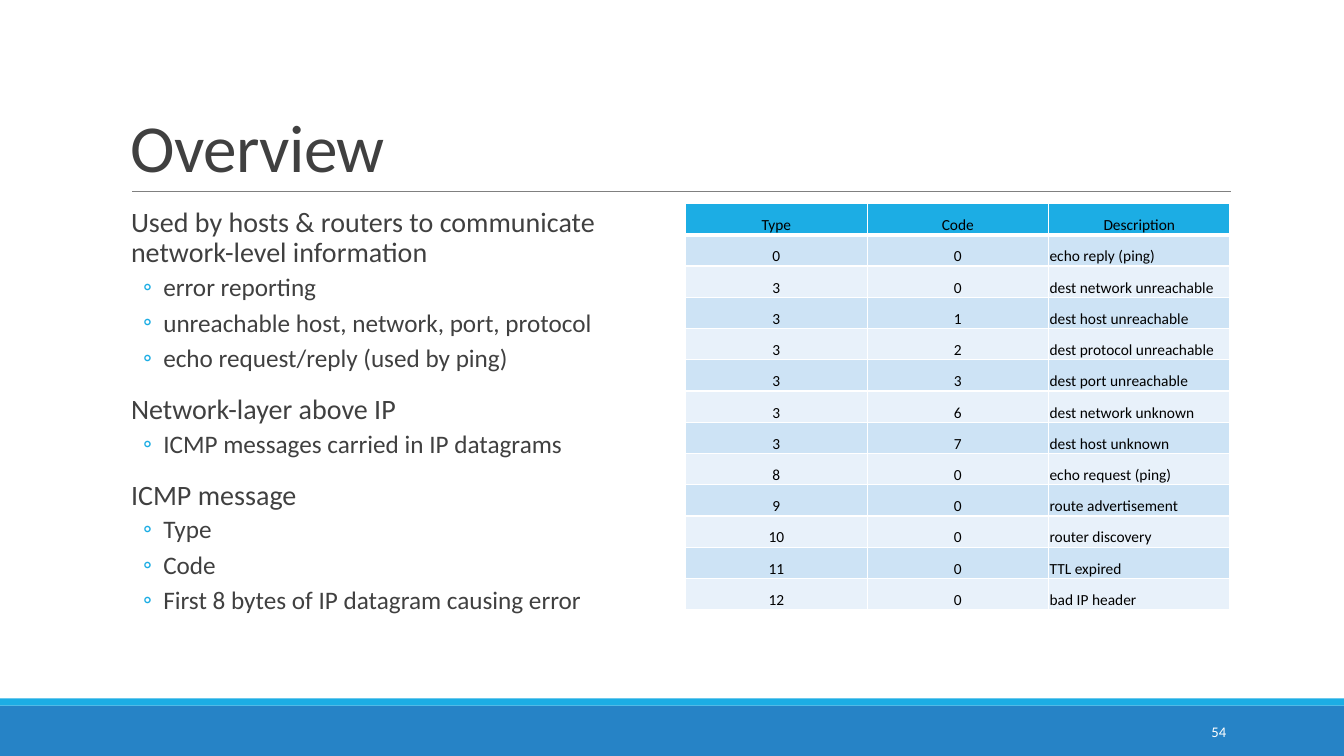
from lxml.etree import SubElement
from pptx import Presentation
from pptx.dml.color import RGBColor
from pptx.enum.shapes import MSO_CONNECTOR, MSO_SHAPE
from pptx.enum.text import MSO_ANCHOR, PP_ALIGN
from pptx.oxml.ns import qn
from pptx.util import Inches, Pt

COLORS = {
    "blue": "2683C6", "cyan": "1CADE4", "gray": "808080", "ink": "404040",
    "black": "000000", "white": "FFFFFF", "band": "CDE3F5", "pale": "E8F1FA",
}
FONT = "Calibri"

# Outline level: text size, indents and paragraph spacing
LEVELS = [
    {"size": 20, "left": 0.1, "hang": 0, "before": 12, "after": 2},
    {"size": 18, "left": 0.42, "hang": -0.2, "before": 2, "after": 4},
]
POINTS = [
    (0, "Used by hosts & routers to communicate network-level information"),
    (1, "error reporting"),
    (1, "unreachable host, network, port, protocol"),
    (1, "echo request/reply (used by ping)"),
    (0, "Network-layer above IP"),
    (1, "ICMP messages carried in IP datagrams"),
    (0, "ICMP message"),
    (1, "Type"),
    (1, "Code"),
    (1, "First 8 bytes of IP datagram causing error"),
]
ROWS = [
    ("Type", "Code", "Description"),
    (0, 0, "echo reply (ping)"),
    (3, 0, "dest network unreachable"),
    (3, 1, "dest host unreachable"),
    (3, 2, "dest protocol unreachable"),
    (3, 3, "dest port unreachable"),
    (3, 6, "dest network unknown"),
    (3, 7, "dest host unknown"),
    (8, 0, "echo request (ping)"),
    (9, 0, "route advertisement"),
    (10, 0, "router discovery"),
    (11, 0, "TTL expired"),
    (12, 0, "bad IP header"),
]


def rgb(name):
    return RGBColor.from_string(COLORS[name])


def style(item, values):
    for name, value in values.items():
        setattr(item, name, value)


def write(para, text, size, color):
    run = para.add_run()
    run.text = text
    style(run.font, {"name": FONT, "size": Pt(size), "bold": False})
    run.font.color.rgb = rgb(color)
    return run


def add_bar(slide, top, height, color):
    bar = slide.shapes.add_shape(
        MSO_SHAPE.RECTANGLE, 0, Inches(top), Inches(13.33), Inches(height))
    bar.shadow.inherit = False
    bar.fill.solid()
    bar.fill.fore_color.rgb = rgb(color)
    bar.line.fill.background()


def add_rule(slide, left, right, top):
    rule = slide.shapes.add_connector(
        MSO_CONNECTOR.STRAIGHT, Inches(left), Inches(top), Inches(right), Inches(top))
    rule.line.color.rgb = rgb("gray")
    rule.line.width = Pt(0.5)
    SubElement(rule.element.spPr, qn("a:effectLst"))


def add_box(slide, left, top, width, height, anchor):
    box = slide.shapes.add_textbox(*map(Inches, (left, top, width, height)))
    style(box.text_frame, {"word_wrap": True, "vertical_anchor": anchor})
    return box.text_frame


def add_title(slide, text):
    para = add_box(slide, 1.2, 0.31, 11, 1.59, MSO_ANCHOR.BOTTOM).paragraphs[0]
    para.line_spacing = 0.85
    run = write(para, text, 48, "ink")
    run.font._element.set("spc", "-50")


def add_bullet(props):
    color = SubElement(props, qn("a:buClr"))
    SubElement(color, qn("a:srgbClr")).set("val", COLORS["cyan"])
    SubElement(props, qn("a:buFont")).set("typeface", FONT)
    SubElement(props, qn("a:buChar")).set("char", "◦")


def add_points(slide, points):
    frame = add_box(slide, 1.2, 2.02, 5.4, 4.4, MSO_ANCHOR.TOP)
    style(frame, {"margin_left": 0, "margin_right": 0})
    for index, (level, text) in enumerate(points):
        para = frame.add_paragraph() if index else frame.paragraphs[0]
        look = LEVELS[level]
        style(para, {
            "level": level, "line_spacing": 0.9,
            "space_before": Pt(look["before"]), "space_after": Pt(look["after"]),
        })
        props = para._p.get_or_add_pPr()
        props.set("marL", str(Inches(look["left"])))
        props.set("indent", str(Inches(look["hang"])))
        if level:
            add_bullet(props)
        write(para, text, look["size"], "ink")


def add_edges(cell, head):
    props = cell._tc.get_or_add_tcPr()
    for side in "LRTB":
        width = 3 if head and side == "B" else 1
        edge = SubElement(props, qn(f"a:ln{side}"), w=str(Pt(width)))
        fill = SubElement(edge, qn("a:solidFill"))
        SubElement(fill, qn("a:srgbClr")).set("val", COLORS["white"])


def add_grid(slide, rows):
    count, width = len(rows), len(rows[0])
    table = slide.shapes.add_table(
        count, width, Inches(6.8), Inches(2.02), Inches(5.4), Inches(4.03)).table
    for y, row in enumerate(rows):
        for x, value in enumerate(row):
            cell = table.cell(y, x)
            style(cell, {
                "vertical_anchor": MSO_ANCHOR.BOTTOM,
                "margin_left": Inches(0.01), "margin_right": Inches(0.01),
                "margin_top": Inches(0.01), "margin_bottom": 0,
            })
            add_edges(cell, y == 0)
            cell.fill.solid()
            shade = "cyan" if y == 0 else ("pale", "band")[y % 2]
            cell.fill.fore_color.rgb = rgb(shade)
            para = cell.text_frame.paragraphs[0]
            center = y == 0 or x < 2
            para.alignment = PP_ALIGN.CENTER if center else PP_ALIGN.LEFT
            write(para, str(value), 11, "black")


def add_number(slide, text):
    para = add_box(slide, 10.83, 7.06, 1.43, 0.4, MSO_ANCHOR.MIDDLE).paragraphs[0]
    para.alignment = PP_ALIGN.RIGHT
    write(para, text, 10.5, "white")


def main():
    deck = Presentation()
    style(deck, {"slide_width": Inches(13.33), "slide_height": Inches(7.5)})
    slide = deck.slides.add_slide(deck.slide_layouts[6])

    # Footer bars and title rule
    add_bar(slide, 7, 0.5, "blue")
    add_bar(slide, 6.93, 0.07, "cyan")
    add_rule(slide, 1.31, 12.21, 1.9)

    # Content
    add_title(slide, "Overview")
    add_points(slide, POINTS)
    add_grid(slide, ROWS)
    add_number(slide, "54")

    deck.save("out.pptx")


if __name__ == "__main__":
    main()
